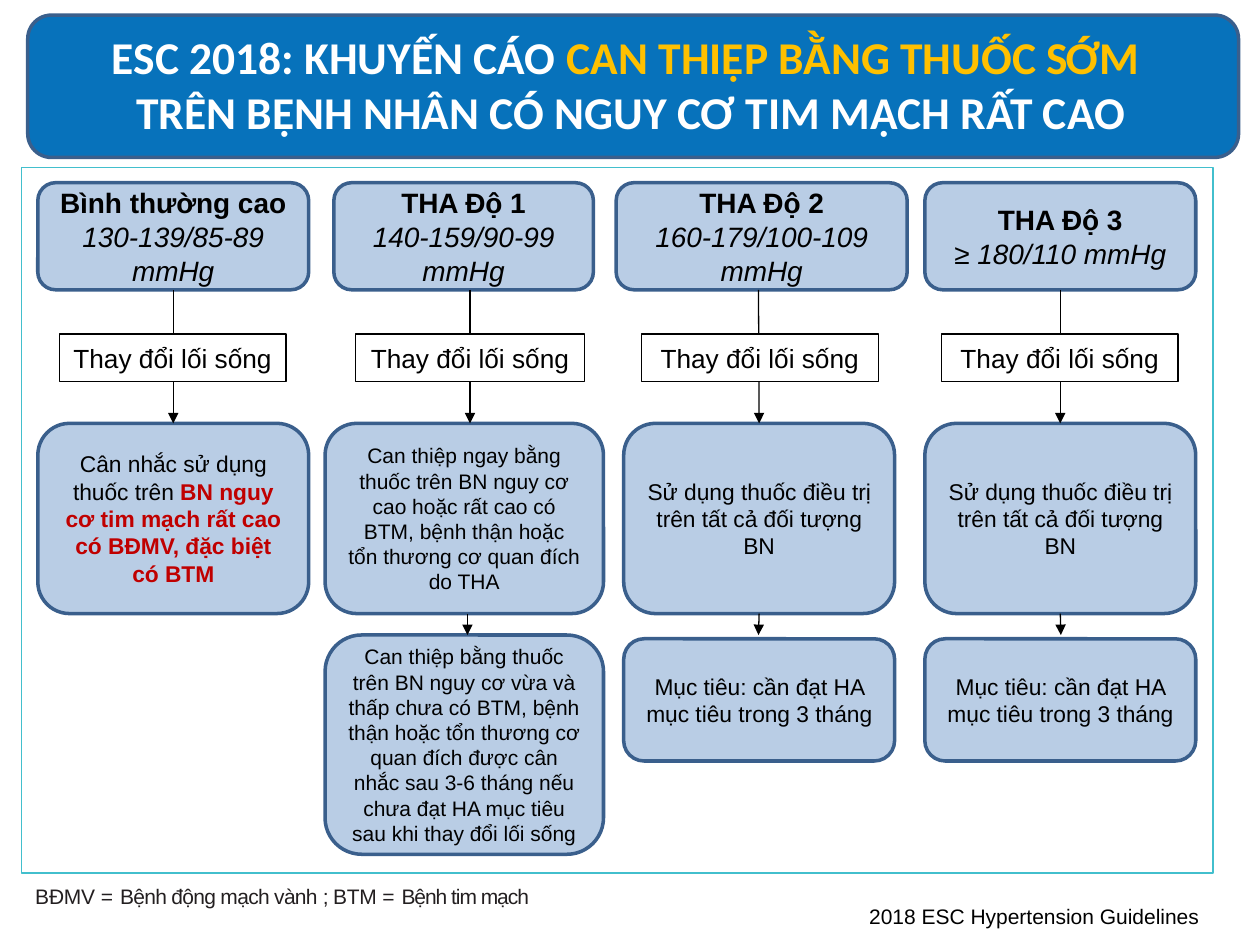
from dataclasses import dataclass
from typing import NamedTuple, Optional

from lxml import etree
from pptx import Presentation
from pptx.dml.color import RGBColor
from pptx.enum.shapes import MSO_CONNECTOR, MSO_SHAPE
from pptx.enum.text import MSO_ANCHOR, MSO_AUTO_SIZE, PP_ALIGN
from pptx.oxml.ns import qn
from pptx.util import Inches, Pt

ROUNDED, RECTANGLE = MSO_SHAPE.ROUNDED_RECTANGLE, MSO_SHAPE.RECTANGLE
STRAIGHT = MSO_CONNECTOR.STRAIGHT
CENTER, LEFT = PP_ALIGN.CENTER, PP_ALIGN.LEFT
MIDDLE, TOP = MSO_ANCHOR.MIDDLE, MSO_ANCHOR.TOP
TOP_SITE, BOTTOM_SITE = 0, 2
GLUE_TOLERANCE = Inches(0.02)


@dataclass(frozen=True)
class Theme:
    font: str = "Arial"
    title_font: str = "Calibri"
    ink: str = "000000"
    note_ink: str = "231F20"
    white: str = "FFFFFF"
    banner: str = "0772BB"
    accent: str = "FFC000"
    alert: str = "C00000"
    panel: str = "B9CDE5"
    border: str = "3A5F8C"
    frame: str = "42BFCD"
    title_size: int = 26
    grade_size: int = 16
    lifestyle_size: int = 15
    body_size: int = 13
    small_size: int = 12
    thick: float = 2
    thin: float = 0.75


THEME = Theme()


class Span(NamedTuple):
    """Start and length along one axis, in inches."""
    start: float
    length: float


class Run(NamedTuple):
    text: str
    bold: bool = False
    italic: bool = False
    color: str = THEME.ink
    spacing: Optional[float] = None


@dataclass(frozen=True)
class Pathway:
    grade: str
    pressure: str
    treatment: list[Run]
    grade_span: Span
    lifestyle_span: Span
    treatment_span: Span
    arrow_x: float
    size: int = THEME.body_size
    goal: str = ""
    goal_row: Span = Span(5.07, 0.97)
    goal_arrow_x: float = 0


# Rows of the flow chart
GRADE_ROW = Span(1.45, 0.85)
LIFESTYLE_ROW = Span(2.65, 0.38)
TREATMENT_ROW = Span(3.36, 1.51)
GOAL_ARROW_END = 5.04

LIFESTYLE = "Thay đổi lối sống"
TREAT_ALL = [Run("Sử dụng thuốc điều trị trên tất cả đối tượng BN")]
GOAL = "Mục tiêu: cần đạt HA mục tiêu trong 3 tháng"

PATHWAYS = [
    Pathway("Bình thường cao", "130-139/85-89 mmHg",
            [Run("Cân nhắc sử dụng thuốc trên "),
             Run("BN nguy cơ tim mạch rất cao có BĐMV, đặc biệt có BTM",
                 bold=True, color=THEME.alert)],
            Span(0.3, 2.15), Span(0.47, 1.8), Span(0.3, 2.15), 1.37),
    Pathway("THA Độ 1", "140-159/90-99 mmHg",
            [Run("Can thiệp ngay bằng thuốc trên BN nguy cơ cao hoặc rất cao có BTM, "
                 "bệnh thận hoặc tổn thương cơ quan đích do THA")],
            Span(2.65, 2.06), Span(2.82, 1.82), Span(2.58, 2.21), 3.73,
            THEME.small_size,
            "Can thiệp bằng thuốc trên BN nguy cơ vừa và thấp chưa có BTM, bệnh thận "
            "hoặc tổn thương cơ quan đích được cân nhắc sau 3-6 tháng nếu chưa đạt HA "
            "mục tiêu sau khi thay đổi lối sống",
            Span(5.04, 1.74), 3.71),
    Pathway("THA Độ 2", "160-179/100-109 mmHg", TREAT_ALL,
            Span(4.89, 2.31), Span(5.09, 1.88), Span(4.95, 2.15), 6.02,
            goal=GOAL, goal_arrow_x=6.02),
    Pathway("THA Độ 3", "≥ 180/110 mmHg", TREAT_ALL,
            Span(7.34, 2.15), Span(7.47, 1.88), Span(7.34, 2.15), 8.41,
            goal=GOAL, goal_arrow_x=8.42),
]


def bounds(column: Span, row: Span) -> list[int]:
    return [Inches(v) for v in (column.start, row.start, column.length, row.length)]


def write(frame, paragraphs: list[list[Run]], size: float, font: str = THEME.font,
          align=CENTER, anchor=MIDDLE, inset: Optional[float] = None) -> None:
    settings = {"word_wrap": True, "auto_size": MSO_AUTO_SIZE.NONE,
                "vertical_anchor": anchor}
    if inset is not None:
        settings |= {f"margin_{side}": Inches(inset)
                     for side in ("left", "top", "right", "bottom")}
    for key, value in settings.items():
        setattr(frame, key, value)
    for index, runs in enumerate(paragraphs):
        paragraph = frame.add_paragraph() if index else frame.paragraphs[0]
        paragraph.alignment = align
        for part in runs:
            run = paragraph.add_run()
            run.text = part.text
            formats = {"name": font, "size": Pt(size),
                       "bold": part.bold, "italic": part.italic}
            for key, value in formats.items():
                setattr(run.font, key, value)
            run.font.color.rgb = RGBColor.from_string(part.color)
            if part.spacing is not None:
                run.font._element.set("spc", str(round(part.spacing * 100)))


def add_box(slide, column: Span, row: Span, kind=ROUNDED, fill: Optional[str] = THEME.panel,
            line: str = THEME.border, weight: float = THEME.thick):
    box = slide.shapes.add_shape(kind, *bounds(column, row))
    box.shadow.inherit = False
    if fill:
        box.fill.solid()
        box.fill.fore_color.rgb = RGBColor.from_string(fill)
    else:
        box.fill.background()
    box.line.color.rgb = RGBColor.from_string(line)
    box.line.width = Pt(weight)
    return box


def add_arrow(slide, x: float, start_box, end_y: float, end_box=None) -> None:
    """Run down from start_box, joined to the boxes whose middle lies at x."""
    def middle(box) -> int:
        return box.left + box.width // 2

    start_y = start_box.top + start_box.height
    arrow = slide.shapes.add_connector(STRAIGHT, Inches(x), start_y, Inches(x), Inches(end_y))
    for box, join, site in ((start_box, arrow.begin_connect, BOTTOM_SITE),
                            (end_box, arrow.end_connect, TOP_SITE)):
        if box is not None and abs(middle(box) - Inches(x)) <= GLUE_TOLERANCE:
            join(box, site)
    arrow.line.color.rgb = RGBColor.from_string(THEME.ink)
    arrow.line.width = Pt(THEME.thin)
    etree.SubElement(arrow.line._get_or_add_ln(), qn("a:tailEnd"), type="triangle")
    etree.SubElement(arrow._element.spPr, qn("a:effectLst"))


def add_pathway(slide, path: Pathway) -> None:
    grade = add_box(slide, path.grade_span, GRADE_ROW)
    write(grade.text_frame, [[Run(path.grade, bold=True)], [Run(path.pressure, italic=True)]],
          THEME.grade_size)
    treatment = add_box(slide, path.treatment_span, TREATMENT_ROW)
    write(treatment.text_frame, [path.treatment], path.size)
    add_arrow(slide, path.arrow_x, grade, TREATMENT_ROW.start, treatment)
    lifestyle = add_box(slide, path.lifestyle_span, LIFESTYLE_ROW, RECTANGLE,
                        THEME.white, THEME.ink, THEME.thin)
    write(lifestyle.text_frame, [[Run(LIFESTYLE)]], THEME.lifestyle_size)
    if path.goal:
        goal = add_box(slide, path.treatment_span, path.goal_row)
        write(goal.text_frame, [[Run(path.goal)]], path.size)
        add_arrow(slide, path.goal_arrow_x, treatment, GOAL_ARROW_END)


def add_title(slide) -> None:
    add_box(slide, Span(0.22, 9.61), Span(0.12, 1.13), fill=THEME.banner)
    title = slide.shapes.title
    slide.shapes._spTree.append(title._element)  # in front of the banner
    title.left, title.top, title.width, title.height = bounds(Span(0.22, 9.58), Span(0.1, 1.13))
    write(title.text_frame,
          [[Run("ESC 2018: KHUYẾN CÁO ", True, color=THEME.white),
            Run("CAN THIỆP BẰNG THUỐC SỚM ", True, color=THEME.accent)],
           [Run("TRÊN BỆNH NHÂN CÓ NGUY CƠ TIM MẠCH RẤT CAO", True, color=THEME.white)]],
          THEME.title_size, THEME.title_font, inset=0)


def add_notes_line(slide) -> None:
    abbreviations = slide.shapes.add_textbox(*bounds(Span(0.28, 6.5), Span(7.06, 0.16)))
    pieces = [("BĐMV ", -0.1), ("= ", 0.3), ("Bệnh động mạch vành ", -0.4), ("; ", -0.8),
              ("BTM ", -0.2), ("= ", 0.3), ("Bệnh tim mạch", -0.6)]
    write(abbreviations.text_frame,
          [[Run(text, color=THEME.note_ink, spacing=gap) for text, gap in pieces]],
          THEME.small_size, align=LEFT, anchor=TOP, inset=0)
    abbreviations.text_frame.paragraphs[0].line_spacing = Pt(11)
    reference = slide.shapes.add_textbox(*bounds(Span(6.8, 3.1), Span(7.12, 0.3)))
    write(reference.text_frame, [[Run("2018 ESC Hypertension Guidelines")]],
          THEME.small_size, align=LEFT, anchor=TOP)


def main() -> None:
    deck = Presentation()
    deck.slide_width, deck.slide_height = Inches(10), Inches(7.5)
    slide = deck.slides.add_slide(deck.slide_layouts[5])
    # Frame around the flow chart
    add_box(slide, Span(0.17, 9.46), Span(1.33, 5.6), RECTANGLE, None, THEME.frame, 0.91)
    for path in PATHWAYS:
        add_pathway(slide, path)
    add_title(slide)
    add_notes_line(slide)
    deck.save("out.pptx")


if __name__ == "__main__":
    main()
